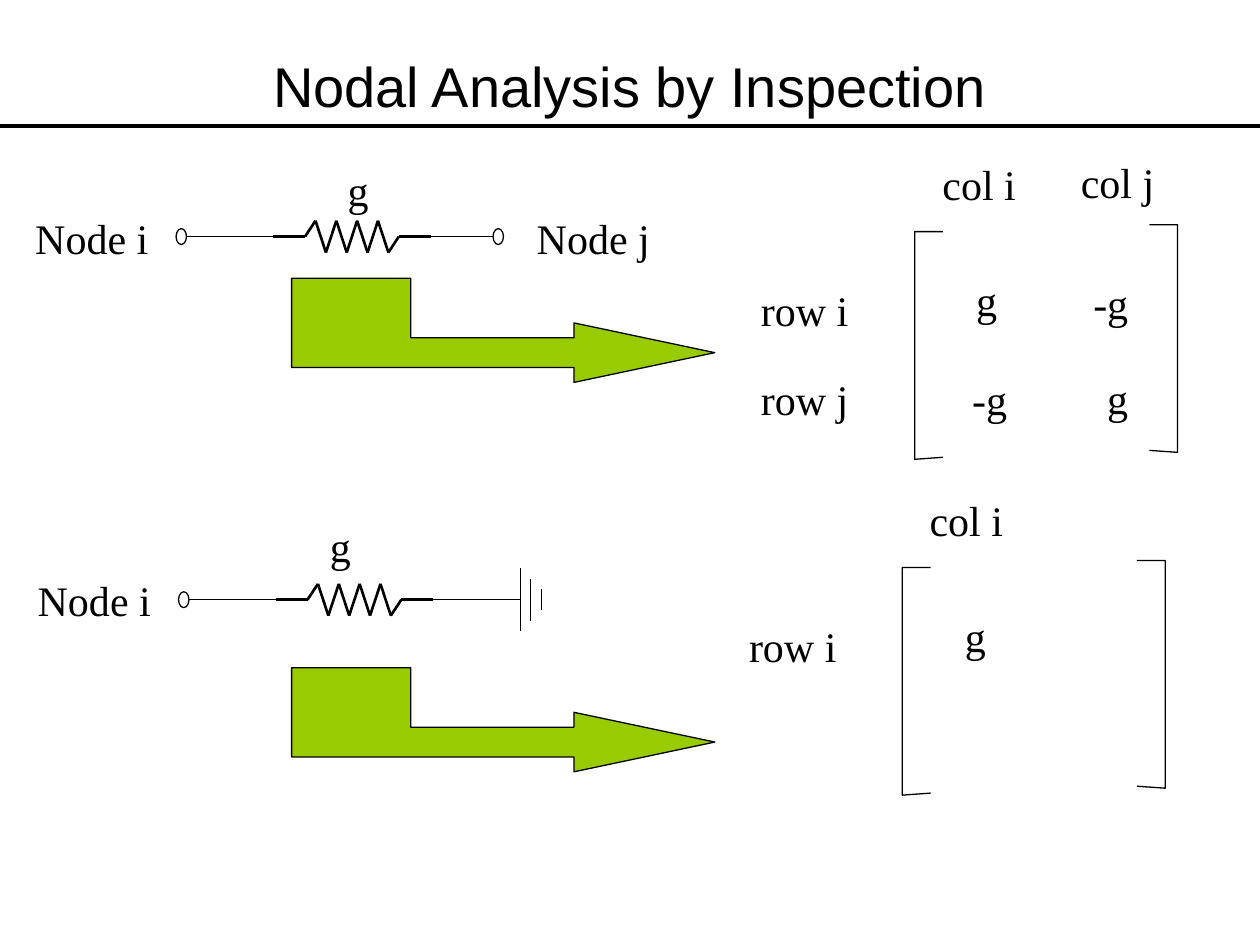
from lxml.etree import SubElement
from pptx import Presentation
from pptx.dml.color import RGBColor
from pptx.enum.shapes import MSO_CONNECTOR, MSO_SHAPE
from pptx.enum.text import MSO_ANCHOR, MSO_AUTO_SIZE, PP_ALIGN
from pptx.oxml.ns import qn
from pptx.util import Cm, Pt

BLACK, WHITE, GREEN = "000000", "FFFFFF", "99CC00"
hue = RGBColor.from_string

deck = Presentation()
deck.slide_width, deck.slide_height = Cm(25.4), Cm(19.05)
slide = deck.slides.add_slide(deck.slide_layouts[6])
shapes = slide.shapes


def write(text, left, top, width, height, look, frame, align=PP_ALIGN.LEFT):
    """Add a text box with font values from look and frame values from frame."""
    box = shapes.add_textbox(Cm(left), Cm(top), Cm(width), Cm(height))
    for key, value in frame.items():
        setattr(box.text_frame, key, value)
    line = box.text_frame.paragraphs[0]
    line.alignment = align
    run = line.add_run()
    run.text = text
    for key, value in look.items():
        setattr(run.font, key, value)
    run.font.color.rgb = hue(BLACK)


def paint(shape, fill=None):
    """Give a closed or open shape a thin black line and a fill, if any."""
    shape.shadow.inherit = False
    shape.line.color.rgb = hue(BLACK)
    shape.line.width = Pt(0.75)
    if fill:
        shape.fill.solid()
        shape.fill.fore_color.rgb = hue(fill)
    else:
        shape.fill.background()


write("Nodal Analysis by Inspection", 1.27, 0.76, 22.86, 1.91,
      {"name": "Arial", "size": Pt(32)},
      {"word_wrap": True, "vertical_anchor": MSO_ANCHOR.MIDDLE}, PP_ALIGN.CENTER)

# Wires: x1, y1, x2, y2, width in points
wires = [(0, 2.54, 25.4, 2.54, 2.25)]
lead, step, swing = 0.64, 0.21, 0.32
bends = [(0, 0), (lead, 0)]
bends += [(lead + step * k, swing * (-1) ** k) for k in range(1, 9)]
bends += [(lead + step * 9, 0), (2 * lead + step * 9, 0)]
end = bends[-1][0]

first, second = (5.51, 4.77), (5.56, 12.09)
for x, y in (first, second):
    wires += [(x + a, y + b, x + c, y + d, 1.5)
              for (a, b), (c, d) in zip(bends, bends[1:])]
    wires += [(x, y, x - 1.83, y, 0.75), (x + end, y, x + 4.52, y, 0.75)]

# Ground symbol at the end of the second circuit
x, y = second
wires.append((x + 4.93, y, x + 4.29, y, 0.75))
for k in range(3):
    bar, half = x + 4.93 + 0.21 * k, 0.63 - 0.21 * k
    wires.append((bar, y + half, bar, y - half, 0.75))

for x1, y1, x2, y2, width in wires:
    wire = shapes.add_connector(MSO_CONNECTOR.STRAIGHT,
                                Cm(x1), Cm(y1), Cm(x2), Cm(y2))
    wire.line.color.rgb = hue(BLACK)
    wire.line.width = Pt(width)
    SubElement(wire._element.spPr, qn("a:effectLst"))

# Terminals of the circuits
for (x, y), shift in ((first, -1.96), (first, 4.43), (second, -1.96)):
    node = shapes.add_shape(MSO_SHAPE.OVAL, Cm(x + shift), Cm(y - 0.16),
                            Cm(0.21), Cm(0.32))
    paint(node, WHITE)

# Matrix brackets and block arrows
left = [(0.57, 0), (0, 0), (0, 4.59), (0.57, 4.55)]
right = [(5.3 - x, y - 0.14) for x, y in left]
arrow = [(0, 0), (2.4, 0), (2.4, 1.2), (5.69, 1.2), (5.69, 0.9), (8.53, 1.5),
         (5.69, 2.1), (5.69, 1.8), (0, 1.8)]
forms = []
for x, y in ((18.44, 4.67), (18.19, 11.44)):
    forms += [(left, x, y, None), (right, x, y, None)]
forms += [(arrow, 5.88, y, GREEN) for y in (5.61, 13.46)]
for points, x, y, fill in forms:
    path = [(Cm(x + a), Cm(y + b)) for a, b in points]
    pen = shapes.build_freeform(*path[0], scale=1.0)
    pen.add_line_segments(path[1:], close=fill is not None)
    paint(pen.convert_to_shape(), fill)

# Labels: text, left, top
labels = [
    ("Node i", 0.46, 4.15), ("g", 6.76, 3.2), ("Node j", 10.57, 4.15),
    ("Node i", 0.51, 11.46), ("g", 6.4, 10.36),
    ("col i", 18.75, 3.07), ("col j", 21.54, 3.03),
    ("row i", 15.09, 5.61), ("g", 19.43, 5.41), ("-g", 21.79, 5.46),
    ("row j", 15.09, 7.4), ("-g", 19.35, 7.4), ("g", 22.07, 7.38),
    ("col i", 18.49, 9.85), ("row i", 14.85, 12.39), ("g", 19.2, 12.19),
]
widths = {"Node": 2.85, "row": 2.35, "col": 2.05, "g": 0.95, "-g": 1.25}
for text, x, y in labels:
    write(text, x, y, widths[text.split()[0]], 1.27,
          {"name": "Times New Roman", "size": Pt(24)},
          {"word_wrap": False, "auto_size": MSO_AUTO_SIZE.SHAPE_TO_FIT_TEXT})

deck.save("out.pptx")
